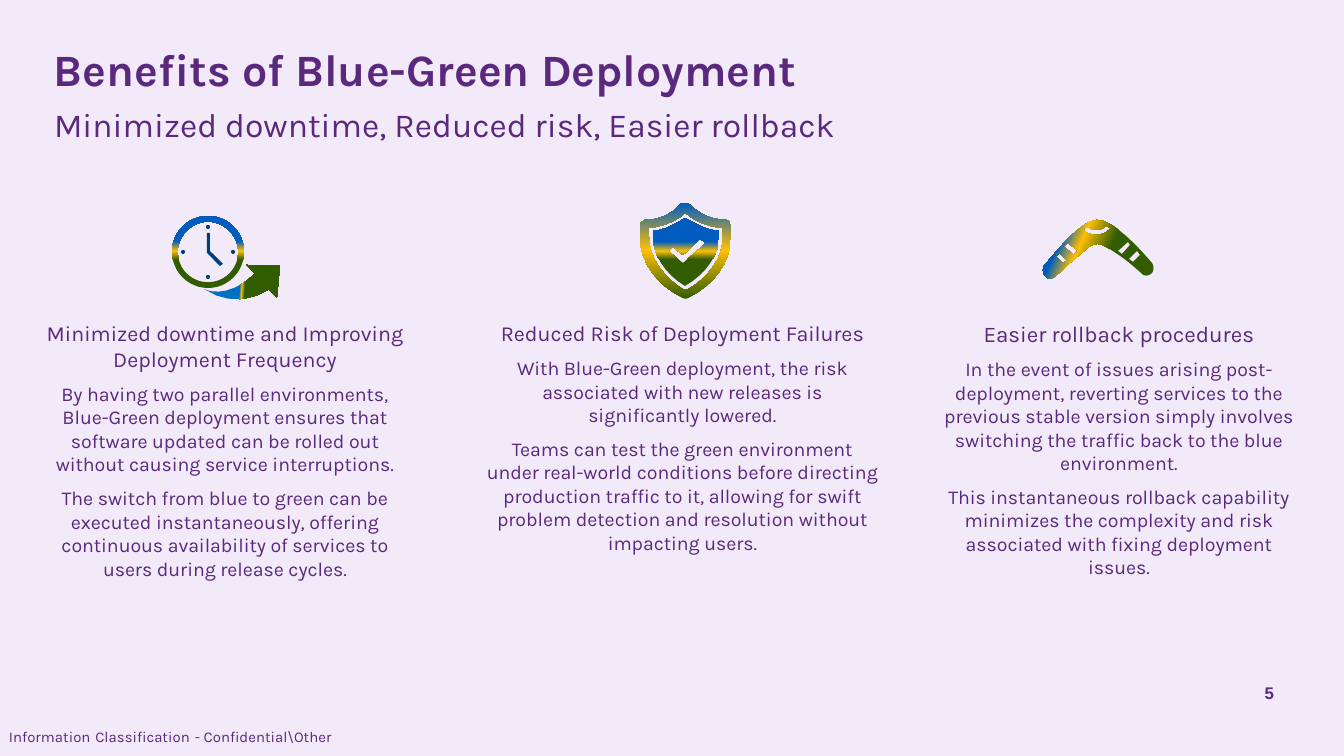
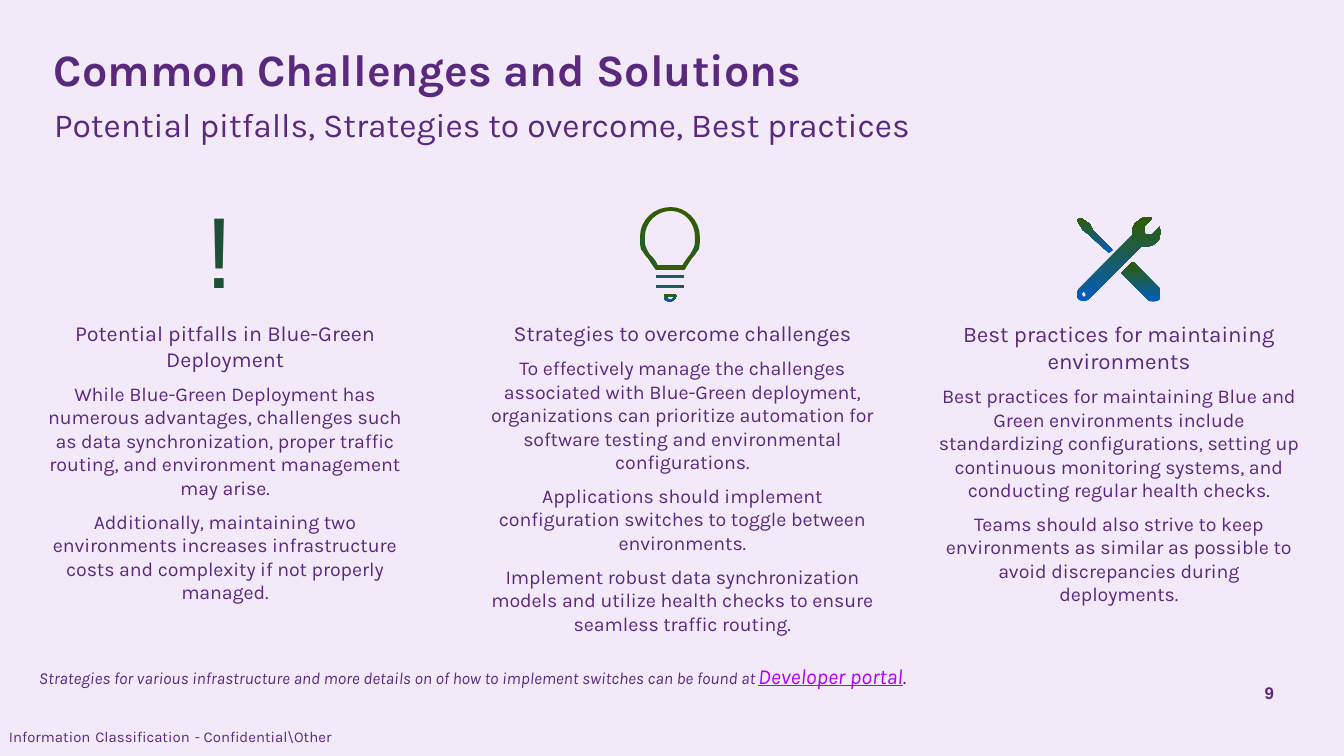
from copy import deepcopy

from pptx import Presentation
from pptx.dml.color import RGBColor
from pptx.enum.shapes import MSO_SHAPE
from pptx.enum.text import MSO_ANCHOR, PP_ALIGN
from pptx.util import Pt

PX = 914400 / 134.4
SLIDE_SIZE = (1344, 756)
BLANK_LAYOUT = 6
CURVE_STEPS = 8

LEFT, CENTER, RIGHT = PP_ALIGN.LEFT, PP_ALIGN.CENTER, PP_ALIGN.RIGHT
TOP, MIDDLE = MSO_ANCHOR.TOP, MSO_ANCHOR.MIDDLE
OVAL, DONUT, ROUNDED = MSO_SHAPE.OVAL, MSO_SHAPE.DONUT, MSO_SHAPE.ROUNDED_RECTANGLE

COLORS = {
    "background": "F2EAF9", "purple": "5A287D", "black": "000000", "link": "AE00FF",
    "green": "315C00", "dark_green": "1D5034", "gold": "FFC000",
    "blue": "005DBF", "light_blue": "0070C0", "navy": "003D80",
}

# Gradients: stops as (percent, colour), then the counter-clockwise angle
SHARP = ([(39, "green"), (51, "gold"), (65, "blue")], 90)
SOFT = ([(0, "green"), (51, "gold"), (100, "blue")], 90)
ARROW_BLEND = ([(48, "light_blue"), (51, "gold"), (55, "green")], 356)
BOOMERANG_BLEND = ([(41, "green"), (65, "gold"), (81, "blue")], 156)
TOOL_BLEND = ([(0, "blue"), (100, "green")], 90)
MARK_BLEND = ([(0, "green"), (41, "dark_green"), (100, "navy")], 270)

COLUMNS = [((43, 320, 364, 211), 11.5), ((485, 320, 395, 211), 11.5), ((937, 320, 364, 211), 12)]

# Outlines in px: M starts a contour, L adds corners, C adds cubic curves
CLOCK_HANDS = "M 210 233, L 207 233 207 253 220 266 223 264 210 251"
CLOCK_ARROW = """M 204 289, C 204 289 226 301 255 274, L 247 265 280 266 277 298 269 289,
    C 269 289 238 312 204 289"""
SHIELD_RIM = """M 727 220, C 712 220 699 214 689 204 688 203 684 203 683 204, L 681 204,
    C 672 214 659 220 645 220 642 222 640 223 640 226, L 640 237,
    C 640 262 657 285 683 298 684 299 687 299 688 298 714 285 731 262 731 237, L 731 226,
    C 731 223 730 222 727 220,
    M 723 237, C 723 257 710 277 687 290, L 684 290, C 663 277 649 257 649 237,
    L 649 228 650 228, C 663 226 675 222 684 214, L 685 212 687 214,
    C 696 222 708 226 720 228, L 723 228"""
SHIELD_PLATE = """M 685 218, C 676 224 665 230 653 231, L 653 237,
    C 653 255 665 274 685 286 706 274 719 255 719 237, L 719 231, C 707 230 695 224 685 218,
    M 683 263, L 668 251 673 247 683 255 700 239 706 243"""
BOOMERANG = """M 1097 220, C 1081 220 1055 253 1044 266 1042 270 1043 274 1046 277
    1050 280 1054 278 1056 276 1066 266 1077 257 1089 247 1094 243 1101 243 1106 247
    1120 255 1130 263 1141 273 1144 277 1149 276 1152 273 1154 270 1154 266 1152 263
    1141 250 1113 219 1097 220,
    M 1067 261, L 1063 263 1056 257 1059 253, M 1078 251, L 1074 255 1064 247 1068 243,
    M 1140 255, L 1133 262 1129 259 1137 251, M 1130 245, L 1122 254 1118 251 1128 242,
    M 1111 228, C 1103 237 1091 237 1083 230, L 1087 227, C 1094 231 1101 231 1106 226"""
BULB_GLASS = """M 685 267, C 687 265 690 259 692 257 695 254 696 251 698 249 699 245 699 242 699 238,
    L 699 237, C 699 220 685 208 671 208 655 208 641 220 641 237, L 641 238,
    C 641 242 641 245 642 249 644 251 645 254 648 257 650 259 653 265 655 267
    656 269 656 269 657 269, L 683 269, C 684 269 685 269 685 267,
    M 683 266, L 657 266, C 656 263 653 258 649 255 648 253 646 250 645 247 644 245 644 241 644 238,
    L 644 237, C 644 222 656 210 671 210 685 210 696 222 696 237, L 696 238,
    C 696 241 696 245 695 247 694 250 692 253 691 255 688 258 685 263 683 266"""
BULB_CAP = """M 677 296, L 676 294 664 294 664 296, C 664 300 667 302 671 302 673 301 676 298 677 296,
    M 671 300, C 668 300 667 298 667 297, L 675 297, C 673 298 672 300 671 300"""
WRENCH = """M 1086 296, C 1085 297 1084 297 1083 297 1082 296 1082 295 1082 294
    1082 293 1082 293 1083 292 1085 292 1085 292 1086 293 1086 294 1086 296 1086 296,
    M 1160 227, L 1152 235 1145 234 1144 227 1152 218,
    C 1146 216 1141 218 1137 222 1133 224 1132 230 1133 235, L 1079 289,
    C 1077 292 1077 294 1077 297 1078 298 1079 301 1082 301 1085 302 1086 301 1088 300,
    L 1142 246, C 1148 247 1153 246 1157 242 1161 238 1162 231 1160 227"""
SCREWDRIVER_HANDLE = """M 1160 289, L 1133 262 1121 273 1148 300 1149 301,
    C 1152 302 1156 302 1159 300 1161 297 1161 293 1160 289"""
SCREWDRIVER_BLADE = "M 1093 230, L 1090 224 1081 218 1077 220 1083 230 1087 233 1109 253 1113 250"


def px(*lengths):
    return [round(length * PX) for length in lengths]


def rgb(name):
    return RGBColor.from_string(COLORS[name])


def paint(fill, paint_spec):
    """Fill with a colour name or with a (stops, angle) gradient."""
    if isinstance(paint_spec, str):
        fill.solid()
        fill.fore_color.rgb = rgb(paint_spec)
        return
    stops, angle = paint_spec
    fill.gradient()
    fill.gradient_angle = angle
    stop_list = fill.gradient_stops._gsLst
    while len(stop_list) < len(stops):
        stop_list.append(deepcopy(stop_list[0]))
    for stop, (percent, color) in zip(fill.gradient_stops, stops):
        stop.position = percent / 100
        stop.color.rgb = rgb(color)


def style_shape(shape, paint_spec, line=None):
    shape.shadow.inherit = False
    paint(shape.fill, paint_spec)
    if line:
        shape.line.color.rgb = rgb(line)
        shape.line.width = Pt(1)
    else:
        shape.line.fill.background()


def add_preset(shapes, preset, box, paint_spec, adjustment=None):
    shape = shapes.add_shape(preset, *px(*box))
    if adjustment is not None:
        shape.adjustments[0] = adjustment
    style_shape(shape, paint_spec)


def curve_points(start, control_1, control_2, end):
    points = []
    for step in range(1, CURVE_STEPS + 1):
        t = step / CURVE_STEPS
        weights = ((1 - t) ** 3, 3 * t * (1 - t) ** 2, 3 * t * t * (1 - t), t ** 3)
        corners = (start, control_1, control_2, end)
        points.append(tuple(sum(w * c[axis] for w, c in zip(weights, corners)) for axis in (0, 1)))
    return points


def trace(outline):
    """Turn an outline string into contours, each a list of points in px."""
    contours = []
    for step in outline.split(","):
        command, *numbers = step.split()
        values = [int(number) for number in numbers]
        points = list(zip(values[::2], values[1::2]))
        if command == "M":
            contours.append(points)
        elif command == "L":
            contours[-1] += points
        else:
            for index in range(0, len(points), 3):
                contours[-1] += curve_points(contours[-1][-1], *points[index:index + 3])
    return contours


def add_outline(shapes, outline, paint_spec, line=None):
    first, *others = [[px(*point) for point in contour] for contour in trace(outline)]
    builder = shapes.build_freeform(*first[0])
    builder.add_line_segments(first[1:])
    for contour in others:
        builder.move_to(*contour[0])
        builder.add_line_segments(contour[1:])
    style_shape(builder.convert_to_shape(), paint_spec, line)


def add_text(slide, box, paragraphs, size=10.5, font="Karla", color="purple", bold=False,
             italic=False, align=LEFT, anchor=TOP, wrap=True, space=0, line_spacing=None):
    """Each paragraph is a string or a list of (text, run format) pairs."""
    frame = slide.shapes.add_textbox(*px(*box)).text_frame
    frame.margin_left = frame.margin_top = frame.margin_right = frame.margin_bottom = 0
    frame.word_wrap = wrap
    frame.vertical_anchor = anchor
    for index, content in enumerate(paragraphs):
        paragraph = frame.add_paragraph() if index else frame.paragraphs[0]
        paragraph.alignment = align
        if index and space:
            paragraph.space_before = Pt(space)
        if line_spacing:
            paragraph.line_spacing = line_spacing
        for text, changes in [(content, {})] if isinstance(content, str) else content:
            run = paragraph.add_run()
            run.text = text
            run.font.name = changes.get("font", font)
            run.font.size = Pt(changes.get("size", size))
            run.font.bold = bold
            run.font.italic = italic
            run.font.underline = changes.get("underline", False)
            paint(run.font.fill, changes.get("color", color))


def add_base(presentation, number, title, subtitle):
    """Add a slide with its background, headings, number and footer."""
    slide = presentation.slides.add_slide(presentation.slide_layouts[BLANK_LAYOUT])
    paint(slide.background.fill, "background")
    add_text(slide, (1227, 673, 47, 40), [number], size=9, font="Arial", bold=True,
             align=RIGHT, anchor=MIDDLE)
    gap = (" ", {"font": "Calibri", "size": 11, "color": "black"})
    add_text(slide, (9, 722, 390, 24), [[("Information", {}), gap, ("Classification", {}), gap,
                                         ("- Confidential\\Other", {})]], size=8)
    add_text(slide, (54, 42, 1075, 67), [title], size=24, bold=True, wrap=False)
    add_text(slide, (54, 109, 1207, 36), [subtitle], size=18, line_spacing=0.9)
    return slide


def add_columns(slide, columns):
    for (box, heading_size), (heading, *body) in zip(COLUMNS, columns):
        add_text(slide, box, [[(heading, {"size": heading_size})], *body], align=CENTER, space=5.5)


def add_icon(slide, *outlines):
    """Group outlines given as (outline, paint) or (outline, paint, line)."""
    shapes = slide.shapes.add_group_shape().shapes
    for outline in outlines:
        add_outline(shapes, *outline)
    return shapes


def add_clock(slide):
    shapes = slide.shapes.add_group_shape().shapes
    add_preset(shapes, DONUT, (172, 216, 72, 72), SHARP, 0.08)
    add_outline(shapes, CLOCK_HANDS, "navy")
    for x, y in ((0, -25), (0, 25), (-25, 0), (25, 0)):
        add_preset(shapes, OVAL, (206 + x, 250 + y, 4, 4), "navy")
    add_outline(shapes, CLOCK_ARROW, ARROW_BLEND)


def add_bulb(slide):
    shapes = add_icon(slide, (BULB_GLASS, TOOL_BLEND, "green"), (BULB_CAP, TOOL_BLEND))
    for top in (275, 285):
        add_preset(shapes, ROUNDED, (656, top, 28, 3), TOOL_BLEND, 0.5)


def build_benefits(presentation):
    slide = add_base(presentation, "5", "Benefits of Blue-Green Deployment",
                     "Minimized downtime, Reduced risk, Easier rollback")
    add_columns(slide, [
        ("Minimized downtime and Improving Deployment Frequency",
         "By having two parallel environments, Blue-Green deployment ensures that software "
         "updated can be rolled out without causing service interruptions.",
         "The switch from blue to green can be executed instantaneously, offering continuous "
         "availability of services to users during release cycles."),
        ("Reduced Risk of Deployment Failures",
         "With Blue-Green deployment, the risk associated with new releases is significantly lowered.",
         "Teams can test the green environment under real-world conditions before directing "
         "production traffic to it, allowing for swift problem detection and resolution without "
         "impacting users."),
        ("Easier rollback procedures",
         "In the event of issues arising post-deployment, reverting services to the previous stable "
         "version simply involves switching the traffic back to the blue environment.",
         "This instantaneous rollback capability minimizes the complexity and risk associated with "
         "fixing deployment issues."),
    ])
    add_clock(slide)
    add_icon(slide, (SHIELD_RIM, SOFT), (SHIELD_PLATE, SHARP))
    add_outline(slide.shapes, BOOMERANG, BOOMERANG_BLEND)


def build_challenges(presentation):
    slide = add_base(presentation, "9", "Common Challenges and Solutions",
                     "Potential pitfalls, Strategies to overcome, Best practices")
    add_columns(slide, [
        ("Potential pitfalls in Blue-Green Deployment",
         "While Blue-Green Deployment has numerous advantages, challenges such as data "
         "synchronization, proper traffic routing, and environment management may arise.",
         "Additionally, maintaining two environments increases infrastructure costs and complexity "
         "if not properly managed."),
        ("Strategies to overcome challenges",
         "To effectively manage the challenges associated with Blue-Green deployment, organizations "
         "can prioritize automation for software testing and environmental configurations.",
         "Applications should implement configuration switches to toggle between environments.",
         "Implement robust data synchronization models and utilize health checks to ensure seamless "
         "traffic routing."),
        ("Best practices for maintaining environments",
         "Best practices for maintaining Blue and Green environments include standardizing "
         "configurations, setting up continuous monitoring systems, and conducting regular health "
         "checks.",
         "Teams should also strive to keep environments as similar as possible to avoid "
         "discrepancies during deployments."),
    ])
    add_text(slide, (39, 663, 1262, 52), [[
        ("Strategies for various infrastructure and more details on of how to implement switches "
         "can be found at ", {"size": 9}),
        ("Developer portal", {"color": "link", "underline": True}), (".", {}),
    ]], size=11.5, italic=True)
    add_text(slide, (206, 188, 134, 134), ["!"], size=54, font="Arial", color=MARK_BLEND, wrap=False)
    add_bulb(slide)
    add_icon(slide, (WRENCH, TOOL_BLEND), (SCREWDRIVER_HANDLE, TOOL_BLEND),
             (SCREWDRIVER_BLADE, TOOL_BLEND))


def main():
    presentation = Presentation()
    presentation.slide_width, presentation.slide_height = px(*SLIDE_SIZE)
    build_benefits(presentation)
    build_challenges(presentation)
    presentation.save("out.pptx")


if __name__ == "__main__":
    main()
